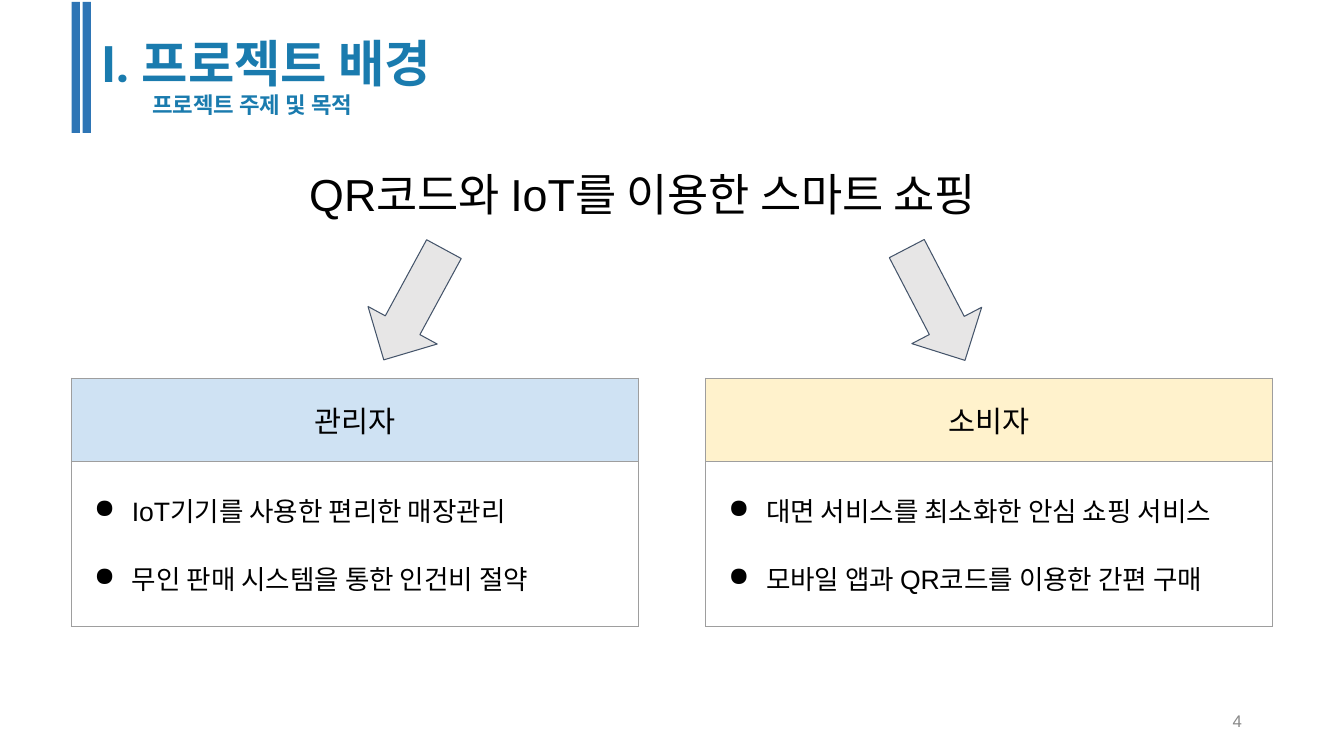
import dataclasses

import lxml.etree
import pptx
import pptx.dml.color
import pptx.enum.shapes
import pptx.enum.text
import pptx.oxml.ns
import pptx.util

Pt = pptx.util.Pt
ALIGN = pptx.enum.text.PP_ALIGN
ANCHOR = pptx.enum.text.MSO_ANCHOR
SHAPE = pptx.enum.shapes.MSO_SHAPE

BLACK = "000000"
TITLE_BLUE = "1A7BAE"
BAR_BLUE = "2E75B5"
GRID_GRAY = "9E9E9E"
INSET = 7.2


@dataclasses.dataclass
class Audience:
    name: str
    benefits: list[str]
    left: float
    header_fill: str
    arrow_left: float
    arrow_rotation: float


AUDIENCES = [
    Audience("관리자",
             ["IoT기기를 사용한 편리한 매장관리", "무인 판매 시스템을 통한 인건비 절약"],
             51, "CFE2F3", 250.6, 118.5),
    Audience("소비자",
             ["대면 서비스를 최소화한 안심 쇼핑 서비스", "모바일 앱과 QR코드를 이용한 간편 구매"],
             504, "FFF2CC", 623.5, 62.5),
]


def rgb(color: str) -> pptx.dml.color.RGBColor:
    return pptx.dml.color.RGBColor.from_string(color)


def add_element(parent, tag: str, **attributes: str):
    element = lxml.etree.SubElement(parent, pptx.oxml.ns.qn(tag))
    for key, value in attributes.items():
        element.set(key, value)
    return element


def format_paragraph(paragraph, size: float, color: str = BLACK, font: str = "Arial",
                     bold: bool = False, align=ALIGN.LEFT) -> None:
    paragraph.alignment = align
    for run in paragraph.runs:
        run.font.size = Pt(size)
        run.font.name = font
        run.font.bold = bold
        run.font.color.rgb = rgb(color)


def place(shape, left: float, top: float, width: float, height: float) -> None:
    shape.left, shape.top = Pt(left), Pt(top)
    shape.width, shape.height = Pt(width), Pt(height)


def set_frame(frame, anchor, vertical_inset: float) -> None:
    frame.word_wrap = True
    frame.auto_size = pptx.enum.text.MSO_AUTO_SIZE.NONE
    frame.vertical_anchor = anchor
    frame.margin_left = frame.margin_right = Pt(INSET)
    frame.margin_top = frame.margin_bottom = Pt(vertical_inset)


def add_title(slide) -> None:
    title = slide.shapes.title
    place(title, 65.5, 24.5, 535.7, 51.1)
    frame = title.text_frame
    set_frame(frame, ANCHOR.TOP, 3.6)
    frame.text = "Ⅰ. 프로젝트 배경\n프로젝트 주제 및 목적"
    for paragraph, size in zip(frame.paragraphs, (36, 16)):
        format_paragraph(paragraph, size, TITLE_BLUE, "Roboto Condensed", bold=True)
        paragraph.line_spacing = 0.9
    subtitle = frame.paragraphs[1]
    subtitle._p.get_or_add_pPr().set("indent", str(Pt(36)))


def add_line(slide, text: str, box: tuple[float, float, float, float], size: float,
             color: str, align, anchor, vertical_inset: float) -> None:
    """Add a text box that holds one line of text."""
    frame = slide.shapes.add_textbox(*map(Pt, box)).text_frame
    set_frame(frame, anchor, vertical_inset)
    frame.text = text
    format_paragraph(frame.paragraphs[0], size, color, align=align)


def add_filled_shape(slide, kind, box: tuple[float, float, float, float], fill: str,
                     line: str | None = None, rotation: float = 0) -> None:
    shape = slide.shapes.add_shape(kind, *map(Pt, box))
    shape.shadow.inherit = False
    shape.rotation = rotation
    shape.fill.solid()
    shape.fill.fore_color.rgb = rgb(fill)
    if line:
        shape.line.color.rgb = rgb(line)
        shape.line.width = Pt(0.75)
    else:
        shape.line.fill.background()


def format_cell(cell, fill: str) -> None:
    properties = cell._tc.get_or_add_tcPr()
    for side in ("a:lnL", "a:lnR", "a:lnT", "a:lnB"):
        border = add_element(properties, side, w=str(Pt(0.75)))
        add_element(add_element(border, "a:solidFill"), "a:srgbClr", val=GRID_GRAY)
    cell.fill.solid()
    cell.fill.fore_color.rgb = rgb(fill)
    cell.vertical_anchor = ANCHOR.MIDDLE
    cell.margin_left = cell.margin_right = Pt(INSET)
    cell.margin_top = cell.margin_bottom = Pt(INSET)


def add_bullet(paragraph) -> None:
    properties = paragraph._p.get_or_add_pPr()
    properties.set("marL", str(Pt(36)))
    properties.set("indent", str(Pt(-27)))
    add_element(add_element(properties, "a:buClr"), "a:srgbClr", val=BLACK)
    add_element(properties, "a:buChar", char="●")


def add_audience_table(slide, audience: Audience) -> None:
    row_heights = (59.5, 118)
    table = slide.shapes.add_table(2, 1, Pt(audience.left), Pt(270), Pt(405),
                                   Pt(sum(row_heights))).table
    table.first_row = table.horz_banding = False
    for row, height in zip(table.rows, row_heights):
        row.height = Pt(height)

    header, body = table.cell(0, 0), table.cell(1, 0)
    format_cell(header, audience.header_fill)
    header.text_frame.text = audience.name
    format_paragraph(header.text_frame.paragraphs[0], 21, align=ALIGN.CENTER)

    format_cell(body, "FFFFFF")
    body.text_frame.text = "\n".join(audience.benefits)
    for index, paragraph in enumerate(body.text_frame.paragraphs):
        format_paragraph(paragraph, 19)
        paragraph.space_before = Pt(21 if index else 0)
        add_bullet(paragraph)


def main() -> None:
    presentation = pptx.Presentation()
    presentation.slide_width, presentation.slide_height = Pt(960), Pt(540)
    slide = presentation.slides.add_slide(presentation.slide_layouts[5])

    add_title(slide)
    for bar_left in (51.1, 59):
        add_filled_shape(slide, SHAPE.RECTANGLE, (bar_left, 1.4, 6, 93.6), BAR_BLUE)
    add_line(slide, "QR코드와 IoT를 이용한 스마트 쇼핑", (213.8, 111.6, 532, 60.5), 32,
             BLACK, ALIGN.LEFT, ANCHOR.TOP, INSET)
    for audience in AUDIENCES:
        add_audience_table(slide, audience)
        add_filled_shape(slide, SHAPE.RIGHT_ARROW, (audience.arrow_left, 189.4, 90, 56.2),
                         "E7E6E6", "44546A", audience.arrow_rotation)
    add_line(slide, "4", (678.2, 500.4, 216, 28.8), 12, "888888",
             ALIGN.RIGHT, ANCHOR.MIDDLE, 3.6)

    presentation.save("out.pptx")


if __name__ == "__main__":
    main()
